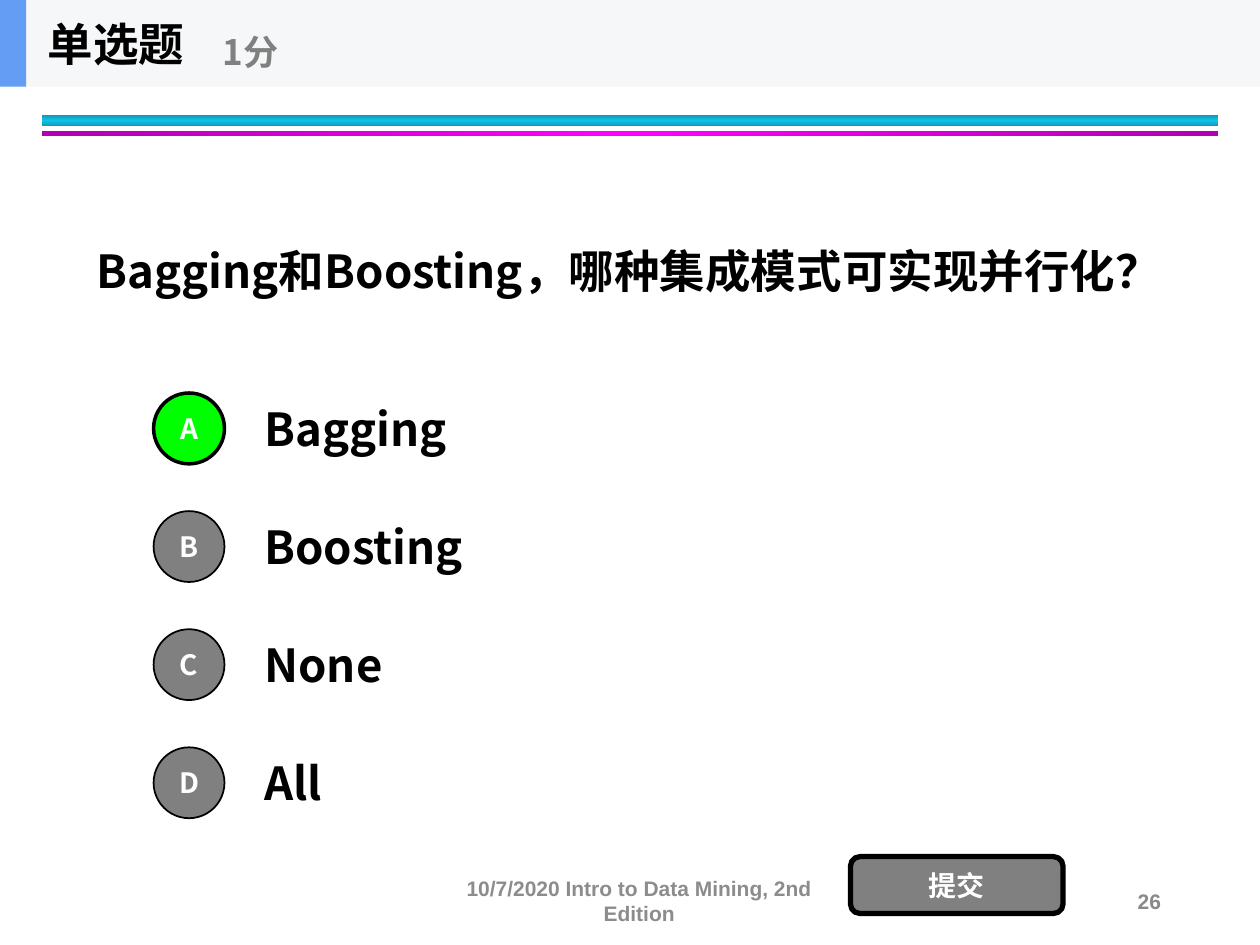
from copy import deepcopy
from dataclasses import dataclass

from lxml.etree import SubElement
from pptx import Presentation
from pptx.dml.color import RGBColor
from pptx.enum.shapes import MSO_SHAPE
from pptx.enum.text import MSO_ANCHOR, PP_ALIGN
from pptx.oxml.ns import qn
from pptx.util import Pt

BLACK = RGBColor(0x00, 0x00, 0x00)
WHITE = RGBColor(0xFF, 0xFF, 0xFF)
GRAY = RGBColor(0x80, 0x80, 0x80)
GREEN = RGBColor(0x00, 0xFF, 0x00)
PALE = RGBColor(0xF6, 0xF7, 0xF8)
BLUE = RGBColor(0x63, 0x9E, 0xF4)
TEAL = RGBColor(0x0E, 0x9B, 0xBA)
CYAN = RGBColor(0x12, 0xC2, 0xE9)
PLUM = RGBColor(0xB2, 0x00, 0xB2)
PINK = RGBColor(0xFF, 0x00, 0xFF)
FOOT = RGBColor(0x8C, 0x8C, 0x8C)
PAGE = RGBColor(0x89, 0x89, 0x89)

HAN = "Noto Sans CJK SC"
LATIN = "Arial"


@dataclass
class Box:
    left: float
    top: float
    width: float
    height: float

    def place(self) -> tuple:
        return Pt(self.left), Pt(self.top), Pt(self.width), Pt(self.height)


@dataclass
class Style:
    size: float
    color: RGBColor
    font: str = HAN
    align: PP_ALIGN = PP_ALIGN.LEFT


@dataclass
class Choice:
    mark: str
    text: str
    fill: RGBColor = GRAY
    line: float = 1


@dataclass
class Stripe:
    box: Box
    edge: RGBColor
    core: RGBColor
    angle: int


def write(shape, text: str, style: Style) -> None:
    frame = shape.text_frame
    frame.word_wrap = True
    frame.vertical_anchor = MSO_ANCHOR.MIDDLE
    frame.text = text
    para = frame.paragraphs[0]
    para.alignment = style.align
    font = para.runs[0].font
    font.size, font.bold, font.name = Pt(style.size), True, style.font
    font.color.rgb = style.color
    SubElement(para.runs[0]._r.get_or_add_rPr(), qn("a:ea"), typeface=style.font)


def add_text(slide, box: Box, text: str, style: Style) -> None:
    write(slide.shapes.add_textbox(*box.place()), text, style)


def add_shape(slide, kind: MSO_SHAPE, box: Box, fill: RGBColor, line: float = 0):
    shape = slide.shapes.add_shape(kind, *box.place())
    shape.shadow.inherit = False
    shape.fill.solid()
    shape.fill.fore_color.rgb = fill
    if line:
        shape.line.color.rgb = BLACK
        shape.line.width = Pt(line)
    else:
        shape.line.fill.background()
    return shape


def add_stripe(slide, stripe: Stripe) -> None:
    shape = add_shape(slide, MSO_SHAPE.RECTANGLE, stripe.box, stripe.core)
    fill = shape.fill
    fill.gradient()
    fill.gradient_angle = stripe.angle
    for stop, place in zip(fill.gradient_stops, (0, 1)):
        stop.color.rgb = stripe.edge
        stop.position = place
    # Third stop, halfway between the edges
    first = shape._element.spPr.find(".//" + qn("a:gs"))
    first.addnext(deepcopy(first))
    mid = fill.gradient_stops[1]
    mid.position = 0.5
    mid.color.rgb = stripe.core


TITLE = Style(26, BLACK)
SCORE = Style(20, GRAY)
LABEL = Style(16, WHITE, align=PP_ALIGN.CENTER)

STRIPES = [
    Stripe(Box(24, 66, 672, 6), TEAL, CYAN, 90),
    Stripe(Box(24, 75, 672, 3), PLUM, PINK, 0),
]
CHOICES = [
    Choice("A", "Bagging", GREEN, 2),
    Choice("B", "Boosting"),
    Choice("C", "None"),
    Choice("D", "All"),
]
FIRST, STEP, ROW, DISC = 219.6, 67.5, 50.4, 40.5
HEAD = 49.5


def main() -> None:
    deck = Presentation()
    deck.slide_width, deck.slide_height = Pt(720), Pt(540)
    slide = deck.slides.add_slide(deck.slide_layouts[6])

    # Double rule
    for stripe in STRIPES:
        add_stripe(slide, stripe)

    # Footer
    add_text(slide, Box(238.5, 500.5, 253.5, 28.75),
             "10/7/2020 Intro to Data Mining, 2nd Edition",
             Style(12, FOOT, LATIN, PP_ALIGN.CENTER))
    add_text(slide, Box(508.5, 500.5, 162, 28.75), "26",
             Style(12, PAGE, LATIN, PP_ALIGN.RIGHT))

    # Question
    add_text(slide, Box(48, 70, 654, 168.5),
             "Bagging和Boosting，哪种集成模式可实现并行化？", TITLE)

    # Choices
    for i, choice in enumerate(CHOICES):
        top = FIRST + i * STEP
        add_text(slide, Box(144, top, 504, ROW), choice.text, TITLE)
        disc = add_shape(slide, MSO_SHAPE.OVAL,
                         Box(87.75, top + (ROW - DISC) / 2, DISC, DISC),
                         choice.fill, choice.line)
        write(disc, choice.mark, LABEL)

    # Submit button
    button = add_shape(slide, MSO_SHAPE.ROUNDED_RECTANGLE,
                       Box(486, 489.5, 121.5, 32.5), GRAY, 3)
    write(button, "提交", LABEL)

    # Header
    add_shape(slide, MSO_SHAPE.RECTANGLE, Box(0, 0, 720, HEAD), PALE)
    add_shape(slide, MSO_SHAPE.RECTANGLE, Box(0, 0, 15, HEAD), BLUE)
    add_text(slide, Box(20.25, 0, 150, HEAD), "单选题", TITLE)
    add_text(slide, Box(120, 9, 180, 40.5), "1分", SCORE)

    deck.save("out.pptx")


if __name__ == "__main__":
    main()
